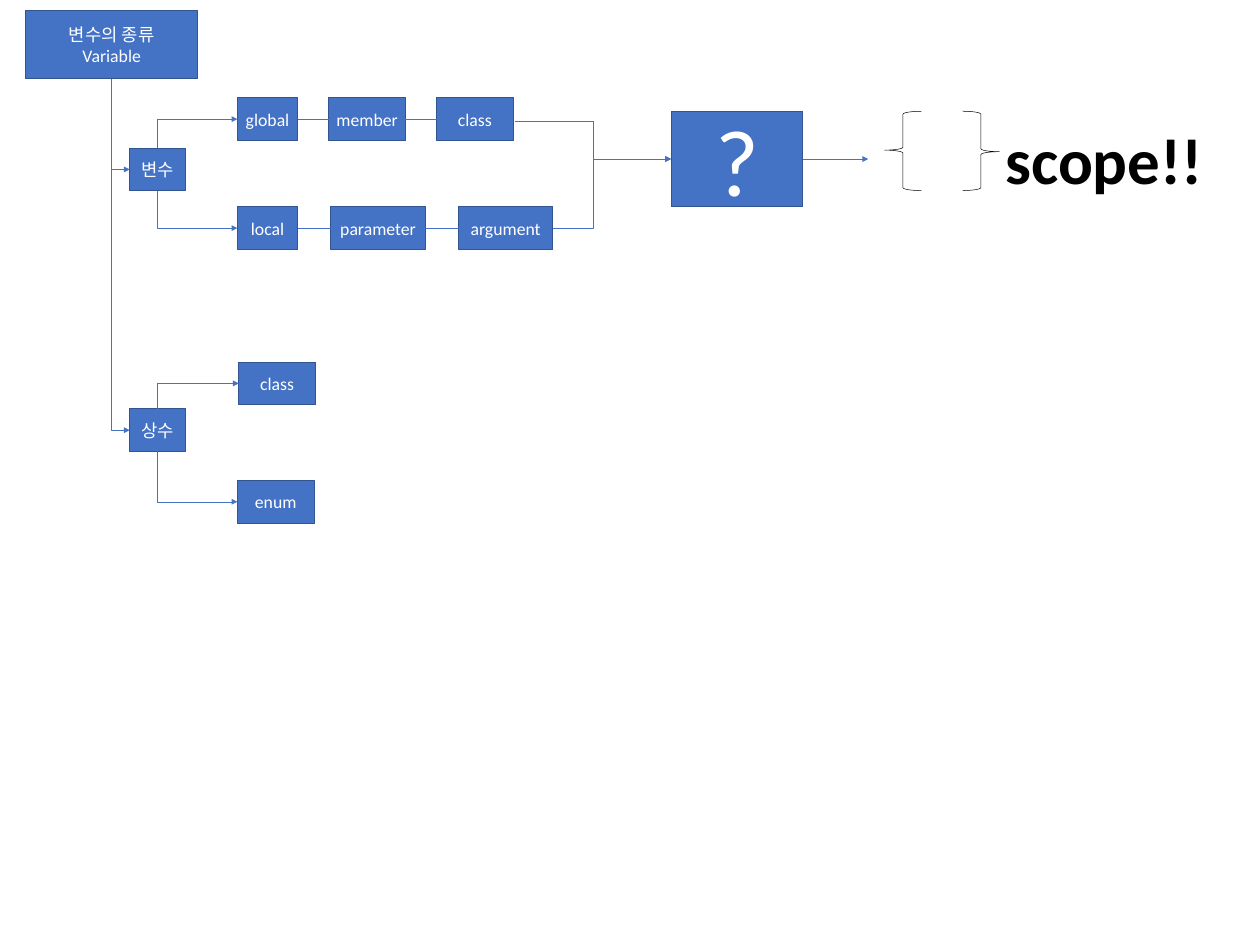
from typing import NamedTuple

from lxml.etree import SubElement
from pptx import Presentation
from pptx.dml.color import RGBColor
from pptx.enum.shapes import MSO_CONNECTOR as Link, MSO_SHAPE as Kind
from pptx.enum.text import MSO_ANCHOR as Anchor, MSO_AUTO_SIZE as Fit, PP_ALIGN as Align
from pptx.oxml.ns import qn
from pptx.shapes.autoshape import Shape
from pptx.shapes.connector import Connector
from pptx.util import Pt

BLUE = RGBColor(0x44, 0x72, 0xC4)
NAVY = RGBColor(0x32, 0x54, 0x91)
WHITE = RGBColor(0xFF, 0xFF, 0xFF)
BLACK = RGBColor(0x00, 0x00, 0x00)
FONT = "Calibri"


class Box(NamedTuple):
    text: str
    x: float
    y: float
    w: float
    h: float = 43.2
    size: float = 18

    @property
    def right(self) -> float:
        return self.x + self.w

    @property
    def low(self) -> float:
        return self.y + self.h

    @property
    def mid(self) -> float:
        return self.x + self.w / 2

    @property
    def row(self) -> float:
        return self.y + self.h / 2


ROOT = Box("변수의 종류\vVariable", 26, 10.8, 175, 69.1)
VAR = Box("변수", 131.8, 150.5, 56.2)
CONST = Box("상수", 131.8, 415.4, 56.2)
GLOBALS = [Box("global", 241.2, 99.4, 61.2), Box("member", 334.1, 99.4, 77.8),
           Box("class", 443.5, 99.4, 77.8)]
LOCALS = [Box("local", 241.2, 210.2, 61.2), Box("parameter", 336.2, 210.2, 95.8),
          Box("argument", 465.8, 210.2, 95.8)]
CLASS = Box("class", 242.6, 367.9, 77.8)
ENUM = Box("enum", 241.2, 488.2, 77.8)
QUERY = Box("?", 681.8, 113, 133.9, 97.2, 96)
SCOPE = Box("scope!!", 882, 79.9, 397.4, 162.7, 66)

BRANCHES = [(ROOT, VAR), (ROOT, CONST), (VAR, GLOBALS[0]), (VAR, LOCALS[0]),
            (CONST, CLASS), (CONST, ENUM)]


def style(shape: Shape, box: Box, fill: RGBColor, edge: RGBColor, ink: RGBColor) -> None:
    shape.fill.solid()
    shape.fill.fore_color.rgb = fill
    shape.line.color.rgb = edge
    shape.line.width = Pt(1)
    frame = shape.text_frame
    frame.text = box.text
    frame.word_wrap = True
    frame.auto_size = Fit.NONE
    frame.vertical_anchor = Anchor.MIDDLE
    para = frame.paragraphs[0]
    para.alignment = Align.CENTER
    for run in para.runs:
        run.font.name = FONT
        run.font.size = Pt(box.size)
        run.font.color.rgb = ink


def add_box(shapes, box: Box, fill: RGBColor = BLUE, edge: RGBColor = NAVY,
            ink: RGBColor = WHITE) -> Shape:
    shape = shapes.add_shape(Kind.RECTANGLE, Pt(box.x), Pt(box.y), Pt(box.w), Pt(box.h))
    shape.shadow.inherit = False
    style(shape, box, fill, edge, ink)
    return shape


def add_link(shapes, x1: float, y1: float, x2: float, y2: float,
             kind: Link = Link.STRAIGHT, arrow: bool = True) -> Connector:
    link = shapes.add_connector(kind, Pt(x1), Pt(y1), Pt(x2), Pt(y2))
    link.line.color.rgb = BLUE
    link.line.width = Pt(0.5)
    props = link._element.spPr
    if arrow:
        SubElement(props.find(qn("a:ln")), qn("a:tailEnd"), type="triangle")
    SubElement(props, qn("a:effectLst"))
    return link


def add_branch(shapes, start: Box, end: Box) -> None:
    """Link the top or bottom of start to the left side of end with one corner."""
    down = end.row > start.row
    y = start.low if down else start.y
    link = add_link(shapes, start.mid, y, end.x, end.row, Link.ELBOW)
    wide, tall = end.x - start.mid, abs(end.row - y)
    link.left, link.top = Pt(end.x - (wide + tall) / 2), Pt((y + end.row - wide) / 2)
    link.width, link.height = Pt(tall), Pt(wide)
    props = link._element.spPr
    frame = props.find(qn("a:xfrm"))
    frame.set("rot", "16200000" if down else "5400000")
    frame.set("flipH", "1")
    props.find(qn("a:prstGeom")).set("prst", "bentConnector2")


def bend(link: Connector, ratio: float) -> None:
    """Set where the elbow turns, as a share of its width."""
    geom = link._element.spPr.find(qn("a:prstGeom"))
    guides = geom.find(qn("a:avLst"))
    if guides is None:
        guides = SubElement(geom, qn("a:avLst"))
    SubElement(guides, qn("a:gd"), name="adj1", fmla=f"val {round(ratio * 100000)}")


def add_brace(shapes, x: float, turn: float) -> None:
    brace = shapes.add_shape(Kind.RIGHT_BRACE, Pt(x), Pt(113), Pt(37.4), Pt(80.6))
    brace.shadow.inherit = False
    brace.rotation = turn
    brace.adjustments[0] = 0.08
    brace.adjustments[1] = 0.51
    brace.fill.background()
    brace.line.color.rgb = BLACK
    brace.line.width = Pt(0.5)


def main() -> None:
    deck = Presentation()
    deck.slide_width, deck.slide_height = Pt(1280), Pt(960)
    shapes = deck.slides.add_slide(deck.slide_layouts[5]).shapes

    title = shapes.title
    title.left, title.top = Pt(ROOT.x), Pt(ROOT.y)
    title.width, title.height = Pt(ROOT.w), Pt(ROOT.h)
    style(title, ROOT, BLUE, NAVY, WHITE)

    scope = add_box(shapes, SCOPE, WHITE, WHITE, BLACK)
    scope.text_frame.margin_left = Pt(89)
    scope.text_frame.paragraphs[0].runs[0].font.bold = True

    for box in [VAR, CONST, *GLOBALS, *LOCALS, CLASS, ENUM, QUERY]:
        add_box(shapes, box)
    for start, end in BRANCHES:
        add_branch(shapes, start, end)
    for chain in (GLOBALS, LOCALS):
        for prev, item in zip(chain, chain[1:]):
            add_link(shapes, prev.right, prev.row, item.x, item.row, arrow=False)

    add_link(shapes, 523.4, 123.1, QUERY.x, QUERY.row, Link.ELBOW)
    last = LOCALS[-1]
    merge = add_link(shapes, last.right, last.row, QUERY.x, QUERY.row, Link.ELBOW)
    bend(merge, 0.34)
    add_link(shapes, QUERY.right, QUERY.row, SCOPE.x, QUERY.row)

    add_brace(shapes, 977.8, 0)
    add_brace(shapes, 898.6, 180)
    deck.save("out.pptx")


if __name__ == "__main__":
    main()
